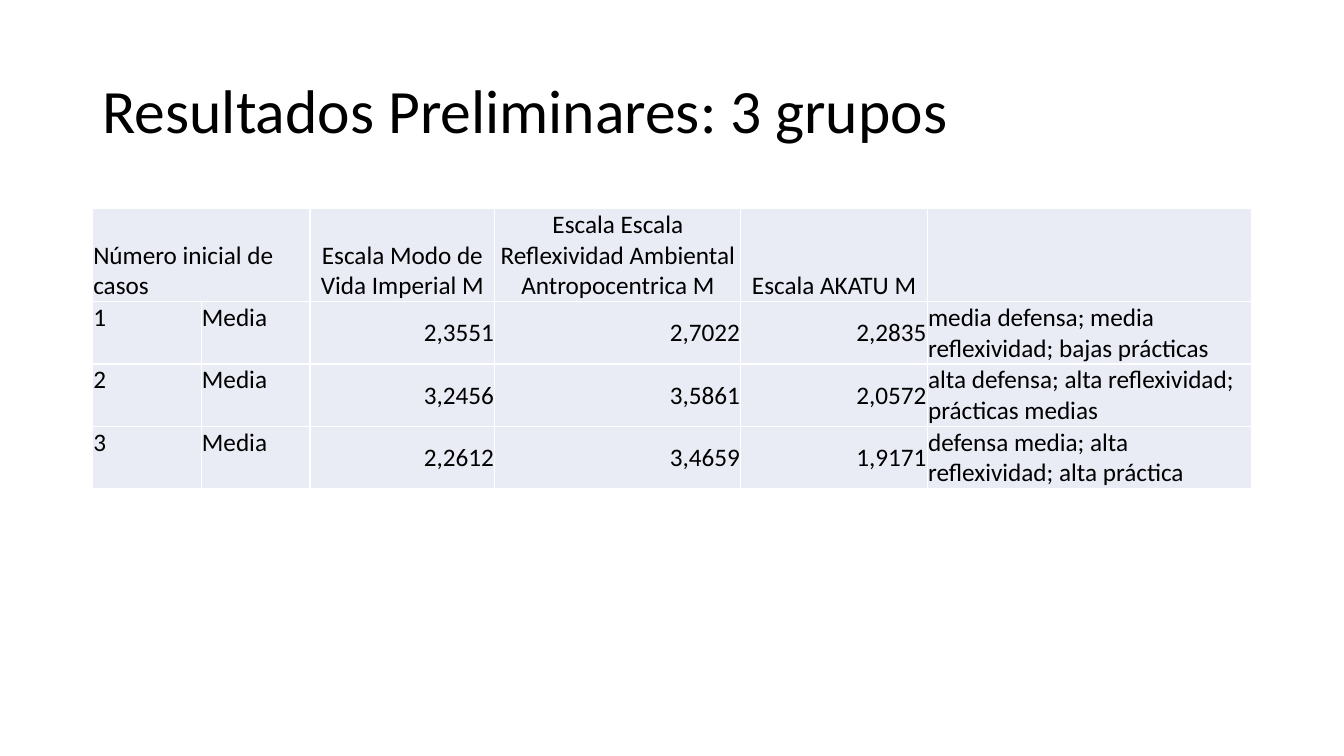
from dataclasses import dataclass

from lxml import etree
from pptx import Presentation
from pptx.dml.color import RGBColor
from pptx.enum import text as t
from pptx.oxml import ns
from pptx.util import Cm, Pt


@dataclass(frozen=True)
class Theme:
    font: str = "Calibri"
    ink: str = "000000"
    cell: str = "E9EBF5"
    border: str = "FFFFFF"
    border_width: float = 1
    title_size: float = 44
    body_size: float = 18


THEME = Theme()
LEFT, CENTER, RIGHT = t.PP_ALIGN.LEFT, t.PP_ALIGN.CENTER, t.PP_ALIGN.RIGHT
TOP, MIDDLE, BOTTOM = t.MSO_ANCHOR.TOP, t.MSO_ANCHOR.MIDDLE, t.MSO_ANCHOR.BOTTOM

HEADINGS = [
    "Número inicial de casos", "", "Escala Modo de Vida Imperial M",
    "Escala Escala Reflexividad Ambiental Antropocentrica M",
    "Escala AKATU M", "",
]
GROUPS = [
    ["1", "Media", "2,3551", "2,7022", "2,2835",
     "media defensa; media reflexividad; bajas prácticas"],
    ["2", "Media", "3,2456", "3,5861", "2,0572",
     "alta defensa; alta reflexividad; prácticas medias"],
    ["3", "Media", "2,2612", "3,4659", "1,9171",
     "defensa media; alta reflexividad; alta práctica"],
]
COLUMN_WIDTHS = [2.74, 2.74, 4.66, 6.2, 4.7, 8.17]
HEADING_HEIGHT, GROUP_HEIGHT = 2.36, 1.57
HEADING_ALIGNS = [LEFT, LEFT, CENTER, CENTER, CENTER, LEFT]
GROUP_ALIGNS = [LEFT, LEFT, RIGHT, RIGHT, RIGHT, LEFT]
GROUP_ANCHORS = [TOP, TOP, MIDDLE, MIDDLE, MIDDLE, BOTTOM]


def write(frame, wording, *, size=THEME.body_size, align=LEFT, spacing=1.0):
    paragraph = frame.paragraphs[0]
    paragraph.alignment = align
    paragraph.line_spacing = spacing
    paragraph.font.size = Pt(size)
    if not wording:
        return
    run = paragraph.add_run()
    run.text = wording
    run.font.size = Pt(size)
    run.font.name = THEME.font
    run.font.color.rgb = RGBColor.from_string(THEME.ink)


def add_borders(cell):
    properties = cell._tc.get_or_add_tcPr()
    for position, side in enumerate(("lnL", "lnR", "lnT", "lnB")):
        line = etree.Element(ns.qn(f"a:{side}"), w=str(Pt(THEME.border_width)))
        fill = etree.SubElement(line, ns.qn("a:solidFill"))
        etree.SubElement(fill, ns.qn("a:srgbClr"), val=THEME.border)
        properties.insert(position, line)


def format_cell(cell, anchor):
    cell.vertical_anchor = anchor
    cell.margin_left = cell.margin_right = cell.margin_top = Cm(0.02)
    cell.margin_bottom = 0
    cell.fill.solid()
    cell.fill.fore_color.rgb = RGBColor.from_string(THEME.cell)
    add_borders(cell)


def place_title(slide, left, top, width, height):
    title = slide.shapes.title
    title.left, title.top = Cm(left), Cm(top)
    title.width, title.height = Cm(width), Cm(height)
    title.text_frame.vertical_anchor = MIDDLE
    write(title.text_frame, "Resultados Preliminares: 3 grupos",
          size=THEME.title_size, spacing=0.9)


def place_results(slide, left, top, width):
    height = HEADING_HEIGHT + GROUP_HEIGHT * len(GROUPS)
    results = slide.shapes.add_table(
        len(GROUPS) + 1, len(HEADINGS),
        Cm(left), Cm(top), Cm(width), Cm(height)).table

    # Column widths share out the given width
    for column, share in zip(results.columns, COLUMN_WIDTHS):
        column.width = Cm(width * share / sum(COLUMN_WIDTHS))

    # Heading row, then one row per group
    for i, wordings in enumerate([HEADINGS, *GROUPS]):
        heading = i == 0
        results.rows[i].height = Cm(HEADING_HEIGHT if heading else GROUP_HEIGHT)
        aligns = HEADING_ALIGNS if heading else GROUP_ALIGNS
        for j, wording in enumerate(wordings):
            cell = results.cell(i, j)
            format_cell(cell, BOTTOM if heading else GROUP_ANCHORS[j])
            write(cell.text_frame, wording, align=aligns[j])
    results.cell(0, 0).merge(results.cell(0, 1))


def main():
    deck = Presentation()
    deck.slide_width, deck.slide_height = Cm(33.87), Cm(19.05)
    slide = deck.slides.add_slide(deck.slide_layouts[5])
    place_title(slide, 2.33, 1.01, 29.21, 3.68)
    place_results(slide, 2.33, 5.24, 29.21)
    deck.save("out.pptx")


if __name__ == "__main__":
    main()
